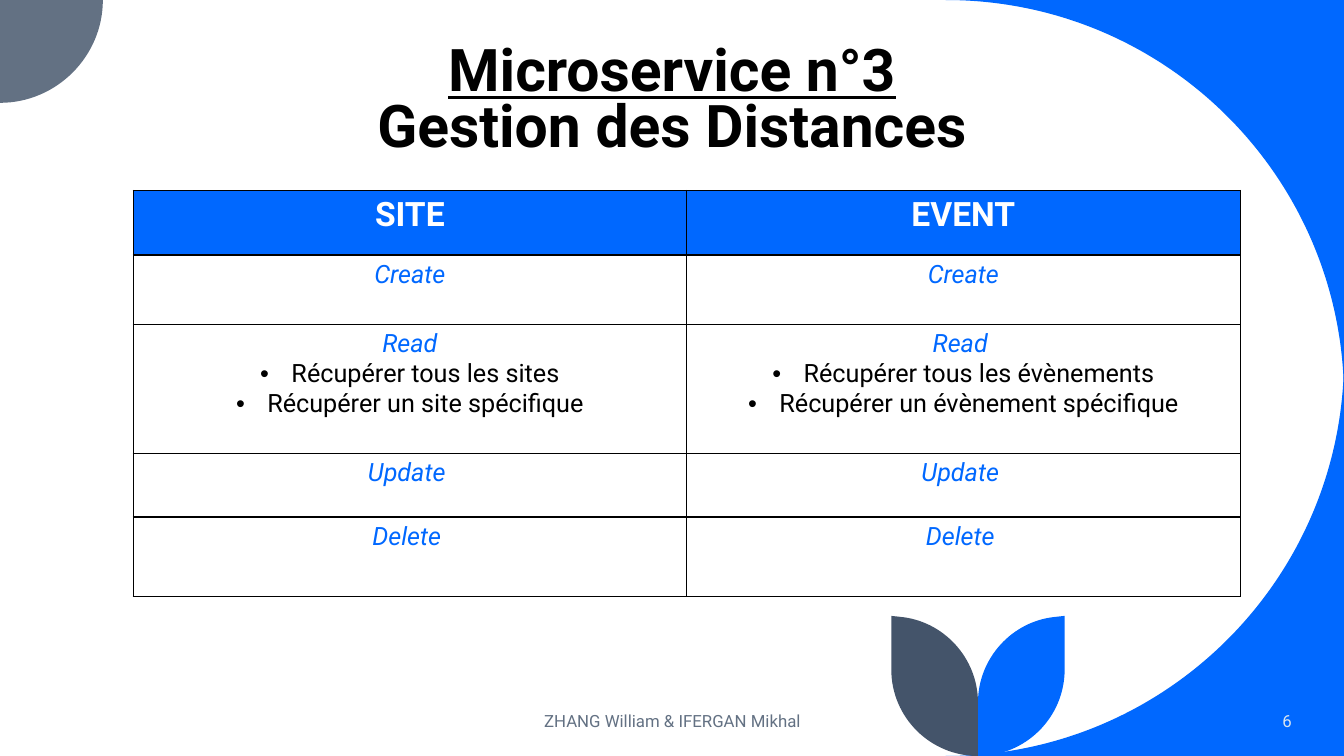
import lxml.etree
import pptx
import pptx.dml.color
import pptx.enum.text
import pptx.oxml
import pptx.oxml.ns
import pptx.util

Inches = pptx.util.Inches
Pt = pptx.util.Pt
ALIGN = pptx.enum.text.PP_ALIGN
ANCHOR = pptx.enum.text.MSO_ANCHOR
qn = pptx.oxml.ns.qn

FONT = "Roboto"
WIDTH, HEIGHT = 13.33, 7.5
COLORS = {
    "blue": "0068FF",
    "slate": "637183",
    "navy": "44546A",
    "pale": "DAE5EF",
    "black": "000000",
    "white": "FFFFFF",
}
ROW_HEIGHTS = [0.64, 0.69, 1.28, 0.63, 0.79]
COLUMN_WIDTH = 5.49
ENTITIES = {
    "SITE": {
        "Create": [],
        "Read": ["Récupérer tous les sites", "Récupérer un site spécifique"],
        "Update ": [],
        "Delete ": [],
    },
    "EVENT": {
        "Create": [],
        "Read ": ["Récupérer tous les évènements", "Récupérer un évènement spécifique"],
        "Update ": [],
        "Delete ": [],
    },
}


def rgb(name):
    return pptx.dml.color.RGBColor.from_string(COLORS[name])


def write(p, text, size=18, color="black", bold=False, italic=False,
          underline=False, align=ALIGN.CENTER):
    """Add a formatted run to a paragraph."""
    p.alignment = align
    r = p.add_run()
    r.text = text
    f = r.font
    f.name, f.size = FONT, Pt(size)
    f.bold, f.italic, f.underline = bold, italic, underline
    f.color.rgb = rgb(color)


def add_bullet(p):
    pPr = p._p.get_or_add_pPr()
    pPr.set("marL", str(Inches(0.31)))
    pPr.set("indent", str(-Inches(0.31)))
    lxml.etree.SubElement(pPr, qn("a:buFont")).set("typeface", "Arial")
    lxml.etree.SubElement(pPr, qn("a:buChar")).set("char", "•")


def bend(shape, segments):
    """Turn the three straight lines of each curve segment into one Bézier curve."""
    lines = iter(list(shape.element.iter(qn("a:lnTo"))))
    for segment in segments[1:]:
        nodes = [next(lines) for _ in segment]
        if len(nodes) == 3:
            curve = lxml.etree.Element(qn("a:cubicBezTo"))
            nodes[0].addprevious(curve)
            for node in nodes:
                curve.append(node[0])
                node.getparent().remove(node)


def add_outline(s, segments, color):
    """Fill an outline: one point is a corner, three points are a curve."""
    points = [(Inches(x), Inches(y)) for segment in segments for x, y in segment]
    builder = s.shapes.build_freeform(*points[0])
    builder.add_line_segments(points[1:], close=True)
    shape = builder.convert_to_shape()
    bend(shape, segments)
    shape.shadow.inherit = False
    shape.fill.solid()
    shape.fill.fore_color.rgb = rgb(color)
    shape.line.fill.background()


def mirror(segments, x_sum=None, y_sum=None):
    """Reflect an outline so that mirrored coordinates add up to the given sum."""
    return [[(x if x_sum is None else x_sum - x, y if y_sum is None else y_sum - y)
             for x, y in segment] for segment in segments]


def add_decor(s):
    wave = [[(WIDTH, 0)], [(9.38, 0)], [(11.57, 0), (WIDTH, 1.77), (WIDTH, 3.95)]]
    add_outline(s, wave, "blue")
    add_outline(s, mirror(wave, y_sum=HEIGHT), "blue")

    quarter = [[(0, 0)], [(1.02, 0)], [(1.02, 0.56), (0.56, 1.02), (0, 1.02)]]
    add_outline(s, quarter, "slate")

    leaf = [[(10.56, 6.11)], [(10.56, 6.64)],
            [(10.56, 7.12), (10.17, 7.5), (9.7, 7.5)], [(9.7, 6.97)],
            [(9.7, 6.53), (10.04, 6.16), (10.47, 6.12)]]
    add_outline(s, leaf, "blue")
    add_outline(s, mirror(leaf, x_sum=2 * 9.7), "navy")


def format_title(s):
    title = s.shapes.title
    title.left, title.top = Inches(1.32), Inches(0.23)
    title.width, title.height = Inches(10.69), Inches(1.4)
    s.shapes.element.append(title.element)  # in front of the decor
    tf = title.text_frame
    tf.vertical_anchor = ANCHOR.BOTTOM
    tf.auto_size = pptx.enum.text.MSO_AUTO_SIZE.NONE
    p = tf.paragraphs[0]
    p.line_spacing = 0.8
    write(p, "Microservice n°3", size=42, bold=True, underline=True)
    p.add_line_break()
    write(p, "Gestion des Distances", size=42, bold=True)


def add_footer_text(s, text, left, width, **fmt):
    box = s.shapes.add_textbox(Inches(left), Inches(6.95), Inches(width), Inches(0.4))
    tf = box.text_frame
    tf.word_wrap = True
    tf.vertical_anchor = ANCHOR.MIDDLE
    write(tf.paragraphs[0], text, size=12, **fmt)


def style_cell(cell, fill=None):
    tcPr = cell._tc.get_or_add_tcPr()
    for i, side in enumerate(("lnL", "lnR", "lnT", "lnB")):
        tcPr.insert(i, pptx.oxml.parse_xml(
            f'<a:{side} xmlns:a="http://schemas.openxmlformats.org/drawingml/2006/main" '
            f'w="{Pt(1)}"><a:solidFill><a:srgbClr val="{COLORS["black"]}"/>'
            f'</a:solidFill></a:{side}>'))
    if fill:
        cell.fill.solid()
        cell.fill.fore_color.rgb = rgb(fill)
    else:
        cell.fill.background()


def add_crud_table(s):
    table = s.shapes.add_table(
        len(ROW_HEIGHTS), len(ENTITIES), Inches(1.32), Inches(1.89),
        Inches(COLUMN_WIDTH * len(ENTITIES)), Inches(sum(ROW_HEIGHTS))).table
    for row, height in zip(table.rows, ROW_HEIGHTS):
        row.height = Inches(height)
    for col, (entity, operations) in enumerate(ENTITIES.items()):
        table.columns[col].width = Inches(COLUMN_WIDTH)
        header = table.cell(0, col)
        style_cell(header, "blue")
        write(header.text_frame.paragraphs[0], entity, size=24, color="white", bold=True)
        for row, (operation, items) in enumerate(operations.items(), start=1):
            cell = table.cell(row, col)
            style_cell(cell)
            tf = cell.text_frame
            write(tf.paragraphs[0], operation, color="blue", italic=True)
            for item in items:
                p = tf.add_paragraph()
                write(p, item)
                add_bullet(p)


def main():
    prs = pptx.Presentation()
    prs.slide_width, prs.slide_height = Inches(WIDTH), Inches(HEIGHT)
    s = prs.slides.add_slide(prs.slide_layouts[5])
    add_decor(s)
    format_title(s)
    add_footer_text(s, "ZHANG William & IFERGAN Mikhal", 4.42, 4.5, color="slate")
    add_footer_text(s, "6", 11.1, 1.81, color="pale", align=ALIGN.RIGHT)
    add_crud_table(s)
    prs.save("out.pptx")


if __name__ == "__main__":
    main()
